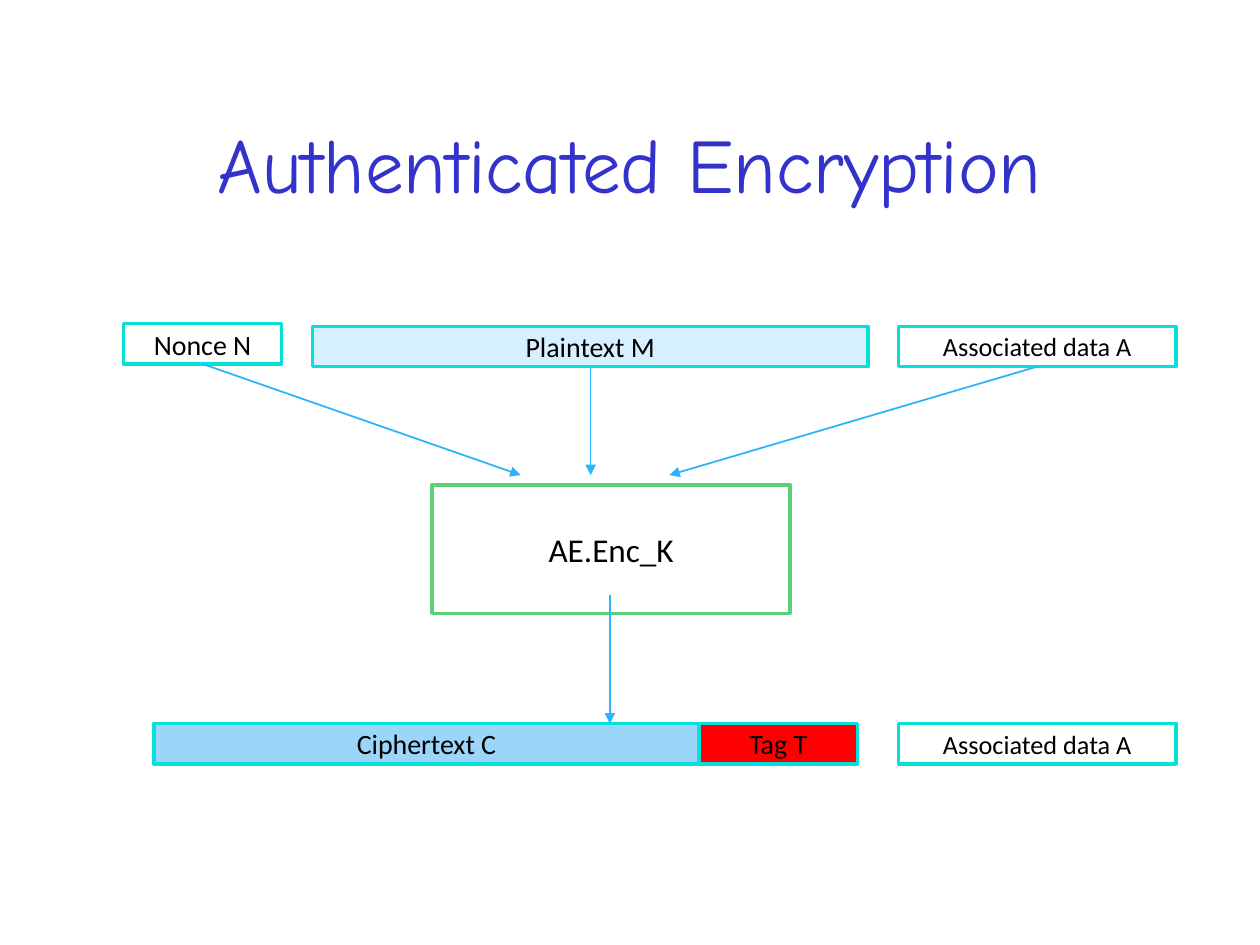
from collections import namedtuple
from dataclasses import dataclass

from lxml.etree import SubElement
from pptx import Presentation
from pptx.dml.color import RGBColor
from pptx.enum.shapes import MSO_CONNECTOR, MSO_SHAPE
from pptx.enum.text import MSO_ANCHOR, PP_ALIGN
from pptx.oxml.ns import qn
from pptx.util import Pt

Box = namedtuple("Box", "x y w h")


@dataclass(frozen=True)
class Theme:
    title_font: str = "Comic Neue"
    body_font: str = "Calibri"
    title_size: float = 44
    cipher_size: float = 19
    field_size: float = 16
    data_size: float = 15
    title: str = "3333CC"
    text: str = "000000"
    white: str = "FFFFFF"
    field_line: str = "05E0DB"
    cipher_line: str = "5BD078"
    arrow: str = "2BB3FC"
    plaintext: str = "D6F0FF"
    ciphertext: str = "9BD5FA"
    tag: str = "FF0000"


THEME = Theme()
FIELD_H = 23
SMALL_W = 90.5
DATA_W = 158.5


def rgb(value):
    return RGBColor.from_string(value)


def set_text(tf, text, font, size, color):
    tf.word_wrap = True
    tf.vertical_anchor = MSO_ANCHOR.MIDDLE
    p = tf.paragraphs[0]
    p.text = text
    p.alignment = PP_ALIGN.CENTER
    p.font.name = font
    p.font.size = Pt(size)
    p.font.color.rgb = rgb(color)


def add_block(slide, box, text, size=THEME.field_size, fill=THEME.white, line=THEME.field_line):
    sp = slide.shapes.add_shape(MSO_SHAPE.RECTANGLE, *map(Pt, box))
    sp.shadow.inherit = False
    sp.fill.solid()
    sp.fill.fore_color.rgb = rgb(fill)
    sp.line.color.rgb = rgb(line)
    sp.line.width = Pt(2)
    SubElement(sp.line._get_or_add_ln(), qn("a:round"))
    tf = sp.text_frame
    tf.margin_left = tf.margin_right = tf.margin_top = tf.margin_bottom = Pt(3.6)
    set_text(tf, text, THEME.body_font, size, THEME.text)


def add_arrow(slide, start, end):
    cxn = slide.shapes.add_connector(MSO_CONNECTOR.STRAIGHT, *map(Pt, (*start, *end)))
    cxn.line.color.rgb = rgb(THEME.arrow)
    cxn.line.width = Pt(1)
    SubElement(cxn.line._get_or_add_ln(), qn("a:tailEnd"), type="triangle")
    SubElement(cxn._element.spPr, qn("a:effectLst"))


def add_title(slide, box):
    sp = slide.shapes.title
    sp.left, sp.top, sp.width, sp.height = map(Pt, box)
    set_text(sp.text_frame, "Authenticated Encryption", THEME.title_font,
             THEME.title_size, THEME.title)


def add_data(slide, box):
    data = Box(box.x + box.w - DATA_W, box.y, DATA_W, FIELD_H)
    add_block(slide, data, "Associated data A", THEME.data_size)


def add_inputs(slide, box):
    add_block(slide, Box(box.x, box.y - 1.5, SMALL_W, FIELD_H), "Nonce N")
    add_block(slide, Box(box.x + 108, box.y, 317.5, FIELD_H), "Plaintext M", fill=THEME.plaintext)
    add_data(slide, box)


def add_cipher(slide, box):
    add_block(slide, box, "AE.Enc_K", THEME.cipher_size, line=THEME.cipher_line)


def add_outputs(slide, box):
    cipher_w = 311.5
    add_block(slide, Box(box.x, box.y, cipher_w, FIELD_H), "Ciphertext C", fill=THEME.ciphertext)
    add_data(slide, box)
    add_block(slide, Box(box.x + cipher_w, box.y, SMALL_W, FIELD_H), "Tag T", fill=THEME.tag)


def add_flow(slide, inputs, cipher, outputs):
    bottom = inputs.y + FIELD_H
    tip = cipher.y - 5.5
    plain_x = inputs.x + 267
    data_x = inputs.x + inputs.w - DATA_W / 2
    mid_x = cipher.x + cipher.w / 2 - 0.75
    add_arrow(slide, (inputs.x + SMALL_W / 2, bottom - 1.5), (cipher.x + 50.5, tip))
    add_arrow(slide, (plain_x, bottom), (plain_x, tip))
    add_arrow(slide, (data_x, bottom), (cipher.x + 135.5, tip))
    add_arrow(slide, (mid_x, cipher.y + cipher.h - 10.5), (mid_x, outputs.y))


def main():
    prs = Presentation()
    prs.slide_width, prs.slide_height = Pt(720), Pt(540)
    slide = prs.slides.add_slide(prs.slide_layouts[5])
    inputs = Box(70.5, 186.5, 601.5, FIELD_H)
    cipher = Box(247, 277, 204.5, 73.5)
    outputs = Box(88, 413.5, 584, FIELD_H)
    add_title(slide, Box(54, 48, 612, 90))
    add_cipher(slide, cipher)
    add_inputs(slide, inputs)
    add_outputs(slide, outputs)
    add_flow(slide, inputs, cipher, outputs)
    prs.save("out.pptx")


if __name__ == "__main__":
    main()
